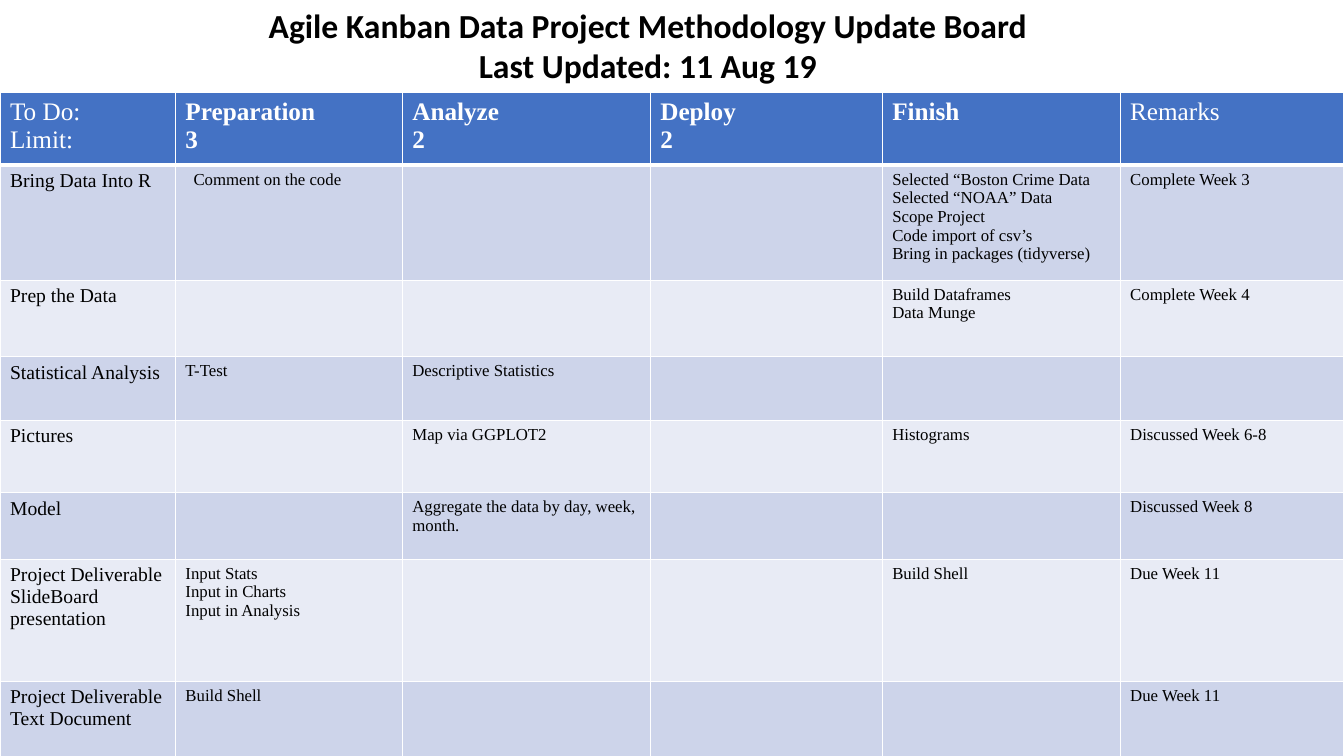
"""Build a Kanban update board: a centred heading above a task table."""
from lxml import etree
from pptx import Presentation
from pptx.dml.color import RGBColor
from pptx.enum.text import PP_ALIGN
from pptx.oxml.ns import qn
from pptx.util import Inches, Pt

CENTER = PP_ALIGN.CENTER
WHITE = RGBColor(0xFF, 0xFF, 0xFF)
BLACK = RGBColor(0, 0, 0)
HEADER_BLUE = RGBColor(0x44, 0x72, 0xC4)
BANDS = (RGBColor(0xE8, 0xEB, 0xF5), RGBColor(0xCD, 0xD4, 0xEA))
BOARD_FONT, HEADING_FONT = "Times New Roman", "Calibri"

HEADING = ["Agile Kanban Data Project Methodology Update Board",
           "Last Updated: 11 Aug 19"]
STAGES = [["To Do:", "Limit:"], ["Preparation", "3"], ["Analyze", "2"],
          ["Deploy", "2"], ["Finish"], ["Remarks"]]
BOLD_STAGES = range(1, 5)
TASKS = [
    [["Bring Data Into R"], ["Comment on the code"], [], [],
     ["Selected “Boston Crime Data", "Selected “NOAA” Data", "Scope Project",
      "Code import of csv’s", "Bring in packages (tidyverse)"],
     ["Complete Week 3"]],
    [["Prep the Data"], [], [], [], ["Build Dataframes", "Data Munge"],
     ["Complete Week 4"]],
    [["Statistical Analysis"], ["T-Test"], ["Descriptive Statistics"], [], [], []],
    [["Pictures"], [], ["Map via GGPLOT2"], [], ["Histograms"],
     ["Discussed Week 6-8"]],
    [["Model"], [], ["Aggregate the data by day, week, month."], [], [],
     ["Discussed Week 8"]],
    [["Project Deliverable", "SlideBoard presentation"],
     ["Input Stats", "Input in Charts", "Input in Analysis"], [], [],
     ["Build Shell"], ["Due Week 11"]],
    [["Project Deliverable", "Text Document"], ["Build Shell"], [], [], [],
     ["Due Week 11"]],
]
INDENTED_CELL = (1, 1)
COLUMN_WIDTHS = [1.74, 2.25, 2.46, 2.3, 2.36, 2.22]
ROW_HEIGHTS = [0.72, 1.14, 0.76, 0.63, 0.72, 0.66, 1.21, 0.77]
BOARD_TOP = 0.92


def write_lines(frame, lines, font, size, color, bold, align=None):
    for index, line in enumerate(lines):
        paragraph = frame.paragraphs[0] if index == 0 else frame.add_paragraph()
        paragraph.alignment = align
        run = paragraph.add_run()
        run.text = line
        run.font.name, run.font.size = font, Pt(size)
        run.font.color.rgb, run.font.bold = color, bold


def add_borders(cell, row):
    widths = {"L": 1, "R": 1, "T": 3 if row == 1 else 1, "B": 3 if row == 0 else 1}
    properties = cell._tc.get_or_add_tcPr()
    for side, width in widths.items():
        border = etree.SubElement(properties, qn(f"a:ln{side}"), w=str(Pt(width)))
        fill = etree.SubElement(border, qn("a:solidFill"))
        etree.SubElement(fill, qn("a:srgbClr"), val=str(WHITE))


deck = Presentation()
deck.slide_width, deck.slide_height = Inches(13.33), Inches(7.5)
slide = deck.slides.add_slide(deck.slide_layouts[6])

board = slide.shapes.add_table(
    len(ROW_HEIGHTS), len(COLUMN_WIDTHS), 0, Inches(BOARD_TOP),
    Inches(sum(COLUMN_WIDTHS)), Inches(sum(ROW_HEIGHTS))).table
for column, width in zip(board.columns, COLUMN_WIDTHS):
    column.width = Inches(width)
for board_row, height in zip(board.rows, ROW_HEIGHTS):
    board_row.height = Inches(height)

for row, entries in enumerate([STAGES] + TASKS):
    for col, lines in enumerate(entries):
        cell = board.cell(row, col)
        add_borders(cell, row)
        cell.fill.solid()
        cell.fill.fore_color.rgb = BANDS[row % 2] if row else HEADER_BLUE
        size = 18 if row == 0 else 14 if col == 0 else 12
        write_lines(cell.text_frame, lines, BOARD_FONT, size,
                    BLACK if row else WHITE, row == 0 and col in BOLD_STAGES)

indented = board.cell(*INDENTED_CELL).text_frame.paragraphs[0]
indented._p.get_or_add_pPr().set("indent", str(Inches(0.08)))

heading = slide.shapes.add_textbox(Inches(1.73), 0, Inches(9.39), Inches(0.91))
heading.text_frame.word_wrap = True
write_lines(heading.text_frame, HEADING, HEADING_FONT, 24, BLACK, True, CENTER)

deck.save("out.pptx")
